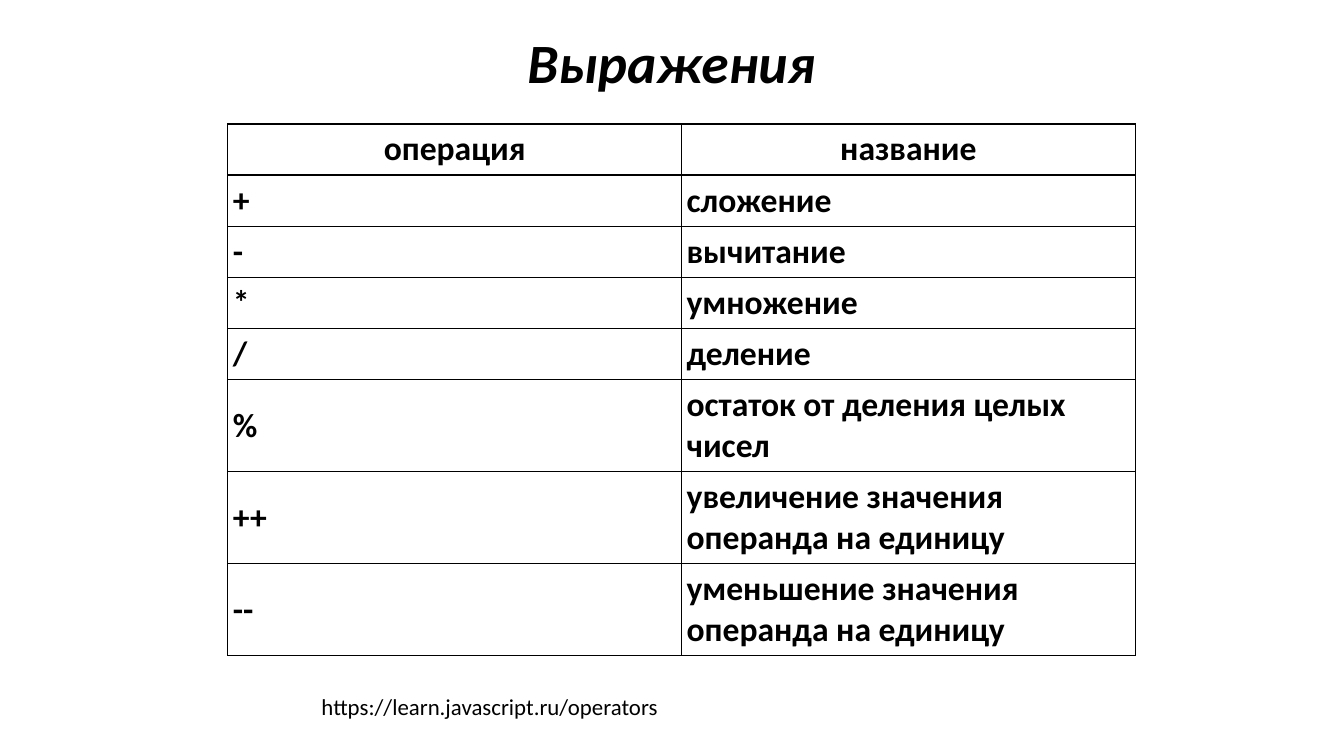
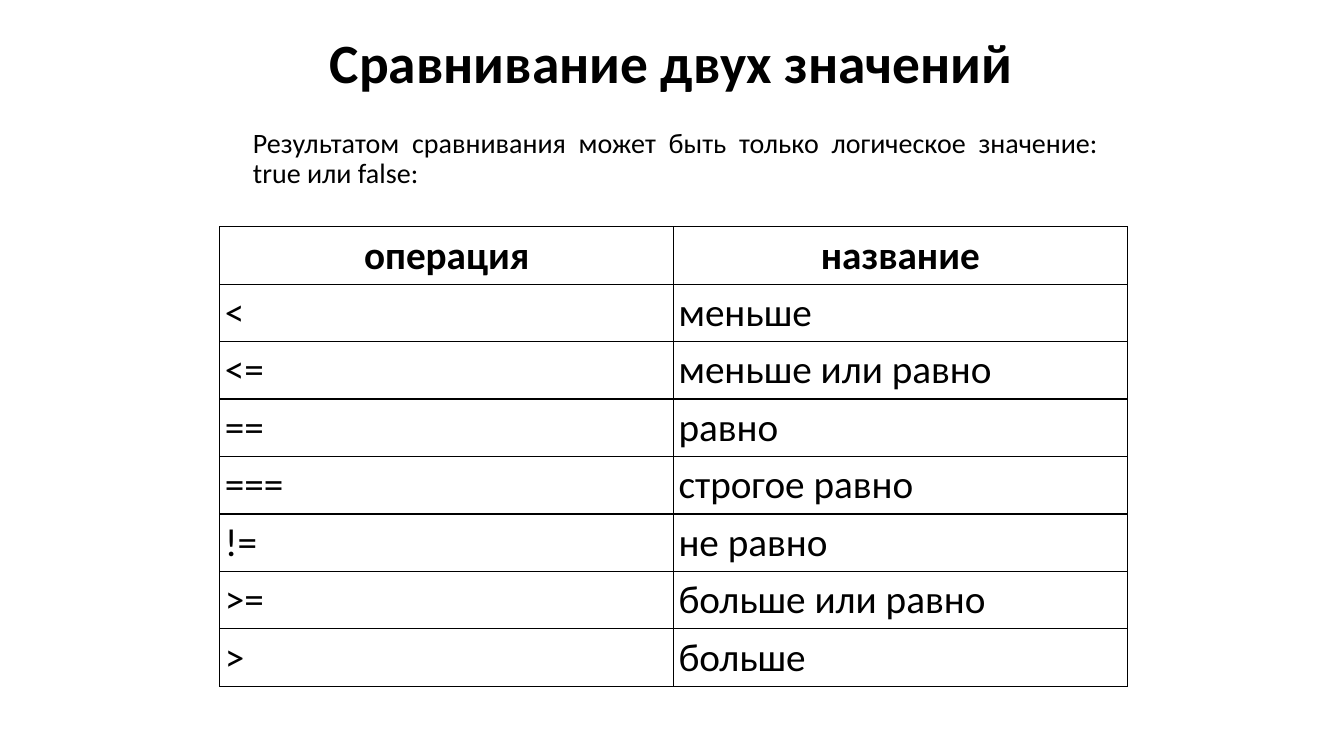
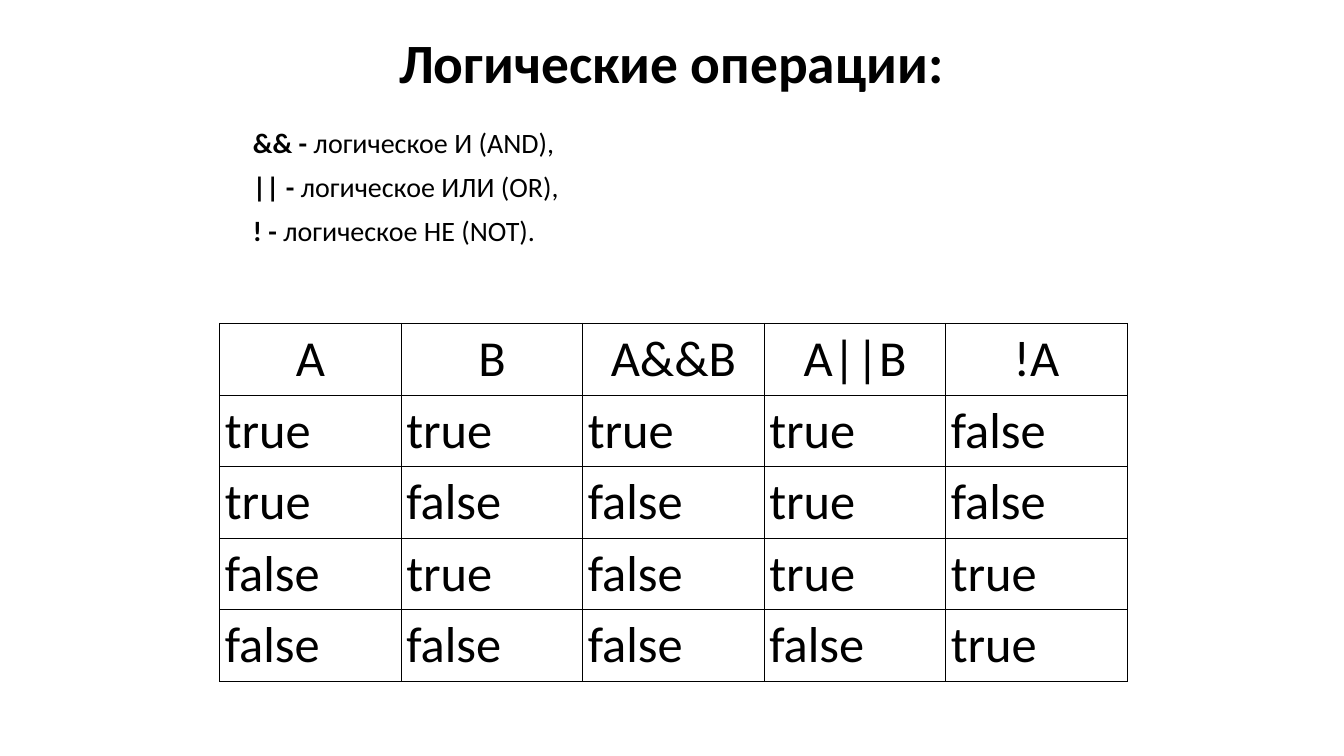
from lxml import etree
from pptx import Presentation
from pptx import util as u
from pptx.dml.color import RGBColor
from pptx.enum import text
from pptx.oxml import ns

FONT = "Calibri"
INK = "000000"
TEXT_LEFT = 2.41
CONTENT_TOP = 1.23
TABLE_LEFT = 2.18
TABLE_WIDTH = 9
CELL_MARGIN = u.Inches(0.05)
TITLE_ONLY = 5

ARITHMETIC = [
    ("операция", "название"),
    ("+", "сложение"),
    ("-", "вычитание"),
    ("*", "умножение"),
    ("/", "деление"),
    ("%", "остаток от деления целых чисел"),
    ("++", "увеличение значения операнда на единицу"),
    ("--", "уменьшение значения операнда на единицу"),
]
COMPARISONS = [
    ("операция", "название"),
    ("<", "меньше"),
    ("<=", "меньше или равно"),
    ("==", "равно"),
    ("===", "строгое равно"),
    ("!=", "не равно"),
    (">=", "больше или равно"),
    (">", "больше"),
]
TRUTH_TABLE = [
    ("A", "B", "A&&B", "A||B", "!A"),
    ("true", "true", "true", "true", "false"),
    ("true", "false", "false", "true", "false"),
    ("false", "true", "false", "true", "true"),
    ("false", "false", "false", "false", "true"),
]


def color(hex_value):
    """Turn a hex string into a colour."""
    return RGBColor.from_string(hex_value)


def set_font(font, size, bold=None, italic=None):
    """Give a font the shared face and colour."""
    font.name = FONT
    font.size = u.Pt(size)
    font.color.rgb = color(INK)
    font.bold = bold
    font.italic = italic


def add_titled_slide(presentation, title, italic=False):
    """Add a slide with the shared title style."""
    slide = presentation.slides.add_slide(presentation.slide_layouts[TITLE_ONLY])
    shape = slide.shapes.title
    shape.left, shape.top = u.Inches(TEXT_LEFT), u.Inches(0.29)
    shape.width, shape.height = u.Inches(8.5), u.Inches(0.71)
    frame = shape.text_frame
    frame.text = title
    frame.auto_size = text.MSO_AUTO_SIZE.NONE
    frame.vertical_anchor = text.MSO_ANCHOR.BOTTOM
    paragraph = frame.paragraphs[0]
    paragraph.alignment = text.PP_ALIGN.CENTER
    paragraph.line_spacing = 0.9
    set_font(paragraph.font, 39.6, bold=True, italic=italic)
    return slide


def add_body(slide, lines, height):
    """Add justified paragraphs, each a pair of bold lead and plain rest."""
    box = slide.shapes.add_textbox(u.Inches(TEXT_LEFT), u.Inches(CONTENT_TOP),
                                   u.Inches(8.58), u.Inches(height))
    frame = box.text_frame
    frame.word_wrap = True
    for index, (lead, rest) in enumerate(lines):
        paragraph = frame.add_paragraph() if index else frame.paragraphs[0]
        paragraph.alignment = text.PP_ALIGN.JUSTIFY
        paragraph.line_spacing = 0.9
        paragraph.space_before = u.Pt(10)
        set_font(paragraph.font, 20)
        if lead:
            run = paragraph.add_run()
            run.text = lead
            run.font.bold = True
        paragraph.add_run().text = rest


def add_address(slide, address):
    """Add a one-line web address below the table."""
    box = slide.shapes.add_textbox(u.Inches(3.09), u.Inches(6.82),
                                   u.Inches(3.59), u.Inches(0.38))
    frame = box.text_frame
    frame.word_wrap = False
    frame.auto_size = text.MSO_AUTO_SIZE.SHAPE_TO_FIT_TEXT
    frame.text = address
    set_font(frame.paragraphs[0].font, 16.3)


def add_borders(cell):
    """Draw a thin line on all four sides of a cell."""
    properties = cell._tc.get_or_add_tcPr()
    for side in ("a:lnL", "a:lnR", "a:lnT", "a:lnB"):
        line = etree.SubElement(properties, ns.qn(side), w=str(u.Pt(1)))
        fill = etree.SubElement(line, ns.qn("a:solidFill"))
        etree.SubElement(fill, ns.qn("a:srgbClr"), val=INK)


def fill_cell(cell, value, size, bold, centered):
    """Write and format one table cell."""
    add_borders(cell)
    cell.fill.background()
    cell.margin_left = cell.margin_right = CELL_MARGIN
    cell.margin_top = cell.margin_bottom = CELL_MARGIN
    cell.vertical_anchor = text.MSO_ANCHOR.MIDDLE
    cell.text = value
    paragraph = cell.text_frame.paragraphs[0]
    paragraph.alignment = text.PP_ALIGN.CENTER if centered else text.PP_ALIGN.LEFT
    set_font(paragraph.font, size, bold=bold)


def add_grid(slide, rows, top, row_heights, size, bold_rows=0, left=TABLE_LEFT):
    """Add a ruled table of equal columns with a centred first row."""
    columns = len(rows[0])
    table = slide.shapes.add_table(
        len(rows), columns, u.Inches(left), u.Inches(top),
        u.Inches(TABLE_WIDTH), u.Inches(sum(row_heights))).table
    table.first_row = table.horz_banding = False
    for column in table.columns:
        column.width = u.Inches(TABLE_WIDTH / columns)
    for index, (values, height) in enumerate(zip(rows, row_heights)):
        table.rows[index].height = u.Inches(height)
        for cell, value in zip(table.rows[index].cells, values):
            fill_cell(cell, value, size, index < bold_rows, index == 0)


def main():
    """Build the three slides and save them."""
    presentation = Presentation()
    presentation.slide_width = u.Inches(13.33)
    presentation.slide_height = u.Inches(7.5)

    slide = add_titled_slide(presentation, "Выражения", italic=True)
    add_grid(slide, ARITHMETIC, CONTENT_TOP, [0.5] * 5 + [0.9] * 3, 24,
             bold_rows=len(ARITHMETIC), left=2.26)
    add_address(slide, "https://learn.javascript.ru/operators")

    slide = add_titled_slide(presentation, "Сравнивание двух значений")
    add_body(slide, [("", "Результатом сравнивания может быть только "
                          "логическое значение: true или false:")], 0.86)
    add_grid(slide, COMPARISONS, 2.25, [0.57] * 8, 28, bold_rows=1)

    slide = add_titled_slide(presentation, "Логические операции:")
    add_body(slide, [("&& - ", "логическое И (AND),"),
                     ("|| - ", "логическое ИЛИ (OR),"),
                     ("! - ", "логическое НЕ (NOT).")], 1.34)
    add_grid(slide, TRUTH_TABLE, 3.21, [0.71] * 5, 36)

    presentation.save("out.pptx")


main()
